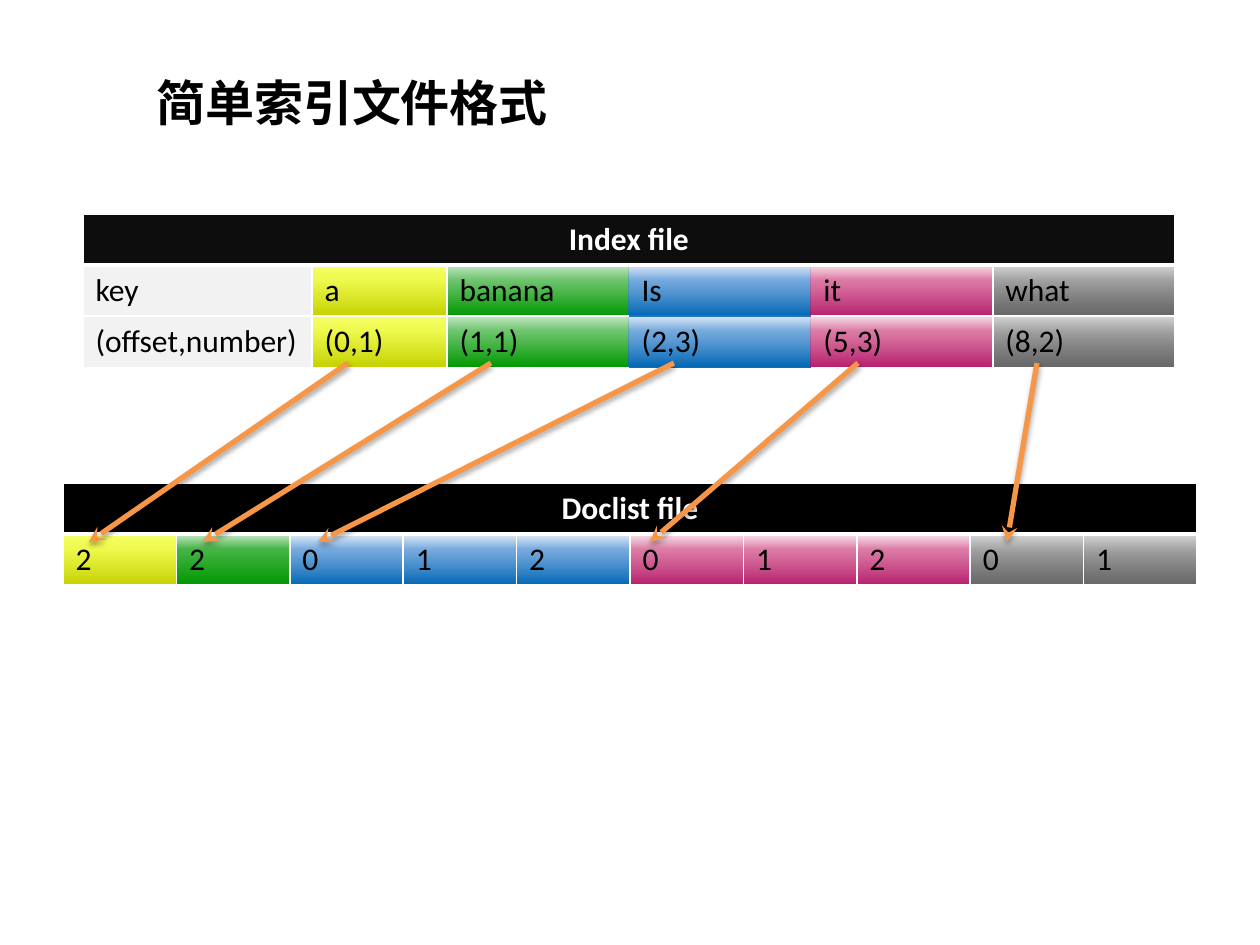
import pptx
import pptx.util
import pptx.dml.color
import pptx.enum.shapes
import pptx.enum.text
import pptx.oxml
import pptx.oxml.ns

RGB = pptx.dml.color.RGBColor
BLACK = RGB(0, 0, 0)
WHITE = RGB(255, 255, 255)
INDEX_HEAD = RGB(0x0D, 0x0D, 0x0D)
LABEL = RGB(0xF2, 0xF2, 0xF2)
ORANGE = RGB(0xF7, 0x96, 0x46)

YELLOW = [(0, RGB(0xC6, 0xD2, 0x02), 100), (72, RGB(0xEE, 0xFA, 0x4E), 100), (100, RGB(0xF6, 0xFF, 0x67), 100)]
GREEN = [(0, RGB(0, 0x99, 0), 100), (72, RGB(0, 0x99, 0), 55), (100, RGB(0, 0x99, 0), 21)]
DEEP_GREEN = [(0, RGB(0, 0x99, 0), 100), (72, RGB(0, 0x99, 0), 72), (100, RGB(0, 0x99, 0), 21)]
BLUE = [(0, RGB(0, 0x66, 0xB4), 100), (72, RGB(0x47, 0x8D, 0xD3), 72), (100, RGB(0x66, 0x9E, 0xDE), 21)]
PINK = [(0, RGB(0xAD, 0, 0x5A), 88), (72, RGB(0xD1, 0x4E, 0x87), 72), (100, RGB(0xDC, 0x6B, 0x99), 20)]
GREY = [(0, RGB(0x40, 0x40, 0x40), 79), (72, RGB(0xA6, 0xA6, 0xA6), 100), (100, RGB(0xD9, 0xD9, 0xD9), 100)]

TITLE = "简单索引文件格式"
INDEX_COLUMNS = [
    (("key", "(offset,number)"), LABEL, 229, "LRTB"),
    (("a", "(0,1)"), YELLOW, 135, "LRTB"),
    (("banana", "(1,1)"), GREEN, 182, "LTB"),
    (("Is", "(2,3)"), BLUE, 182, ""),
    (("it", "(5,3)"), PINK, 182, "RTB"),
    (("what", "(8,2)"), GREY, 182, "LRTB"),
]
DOC_GROUPS = [("2", YELLOW), ("2", DEEP_GREEN), ("012", BLUE), ("012", PINK), ("01", GREY)]
DOC_COLUMNS = [((doc,), fill, 113.4, "LRTB") for docs, fill in DOC_GROUPS for doc in docs]
TABLES = [
    ("Index file", INDEX_HEAD, 83, 214, INDEX_COLUMNS),
    ("Doclist file", BLACK, 63, 483, DOC_COLUMNS),
]
ROW_H = 51
ARROW_X = [(348, 89), (491, 203), (674, 318), (858, 650), (1037, 1007)]
ARROW_TOP, ARROW_BOTTOM = 363, 542


def px(n):
    return pptx.util.Emu(round(n * 914400 / 126))


def add_xml(parent, tag, attrs="", body=""):
    ns = pptx.oxml.ns.nsdecls("a")
    parent.append(pptx.oxml.parse_xml(f"<a:{tag} {ns} {attrs}>{body}</a:{tag}>"))


def set_borders(cell, sides, bottom=1):
    for side in "LRTB":
        width = pptx.util.Pt(bottom if side == "B" else 1)
        line = f'<a:solidFill><a:srgbClr val="{WHITE}"/></a:solidFill>' if side in sides else "<a:noFill/>"
        add_xml(cell._tc.get_or_add_tcPr(), f"ln{side}", f'w="{width}"', line)


def set_fill(cell, fill):
    if isinstance(fill, RGB):
        cell.fill.solid()
        cell.fill.fore_color.rgb = fill
        return
    stops = "".join(
        f'<a:gs pos="{pos * 1000}"><a:srgbClr val="{color}"><a:alpha val="{alpha * 1000}"/></a:srgbClr></a:gs>'
        for pos, color, alpha in fill)
    add_xml(cell._tc.get_or_add_tcPr(), "gradFill", 'rotWithShape="1"',
            f'<a:gsLst>{stops}</a:gsLst><a:lin ang="16200000" scaled="0"/>')


def write(tf, text, size, color, bold, font):
    tf.text = text
    r = tf.paragraphs[0].runs[0]
    r.font.size = pptx.util.Pt(size)
    r.font.name = font
    r.font.bold = bold
    r.font.color.rgb = color
    return r


def add_table(s, heading, head_fill, left, top, columns):
    rows = len(columns[0][0]) + 1
    width = sum(column[2] for column in columns)
    table = s.shapes.add_table(rows, len(columns), px(left), px(top), px(width), px(rows * ROW_H)).table
    table.horz_banding = False
    for row in table.rows:
        row.height = px(ROW_H)
    for i, (texts, fill, col_w, sides) in enumerate(columns):
        table.columns[i].width = px(col_w)
        set_borders(table.cell(0, i), "LRTB", 3)
        set_fill(table.cell(0, i), head_fill)
        for j, text in enumerate(texts, 1):
            cell = table.cell(j, i)
            set_borders(cell, sides)
            set_fill(cell, fill)
            write(cell.text_frame, text, 18, BLACK, False, "Calibri")
    head = table.cell(0, 0)
    head.merge(table.cell(0, len(columns) - 1))
    write(head.text_frame, heading, 18, WHITE, True, "Calibri")
    head.text_frame.paragraphs[0].alignment = pptx.enum.text.PP_ALIGN.CENTER


def add_arrow(s, x1, x2):
    arrow = s.shapes.add_connector(pptx.enum.shapes.MSO_CONNECTOR.STRAIGHT,
                                   px(x1), px(ARROW_TOP), px(x2), px(ARROW_BOTTOM))
    arrow.line.color.rgb = ORANGE
    arrow.line.width = pptx.util.Pt(3)
    add_xml(arrow.line._get_or_add_ln(), "tailEnd", 'type="stealth"')
    blur, dist = pptx.util.Pt(3.1), pptx.util.Pt(1.8)
    add_xml(arrow._element.spPr, "effectLst", "",
            f'<a:outerShdw blurRad="{blur}" dist="{dist}" dir="5400000" rotWithShape="0">'
            f'<a:srgbClr val="{BLACK}"><a:alpha val="35000"/></a:srgbClr></a:outerShdw>')


def main():
    prs = pptx.Presentation()
    prs.slide_width, prs.slide_height = px(1260), px(945)
    s = prs.slides.add_slide(prs.slide_layouts[6])
    for table in TABLES:
        add_table(s, *table)
    for x1, x2 in ARROW_X:
        add_arrow(s, x1, x2)
    tf = s.shapes.add_textbox(px(144), px(66), px(1133), px(110)).text_frame
    tf.word_wrap = True
    r = write(tf, TITLE, 28, BLACK, True, "Noto Sans CJK SC")
    add_xml(r.font._element, "ea", 'typeface="Noto Sans CJK SC"')
    prs.save("out.pptx")


if __name__ == "__main__":
    main()
